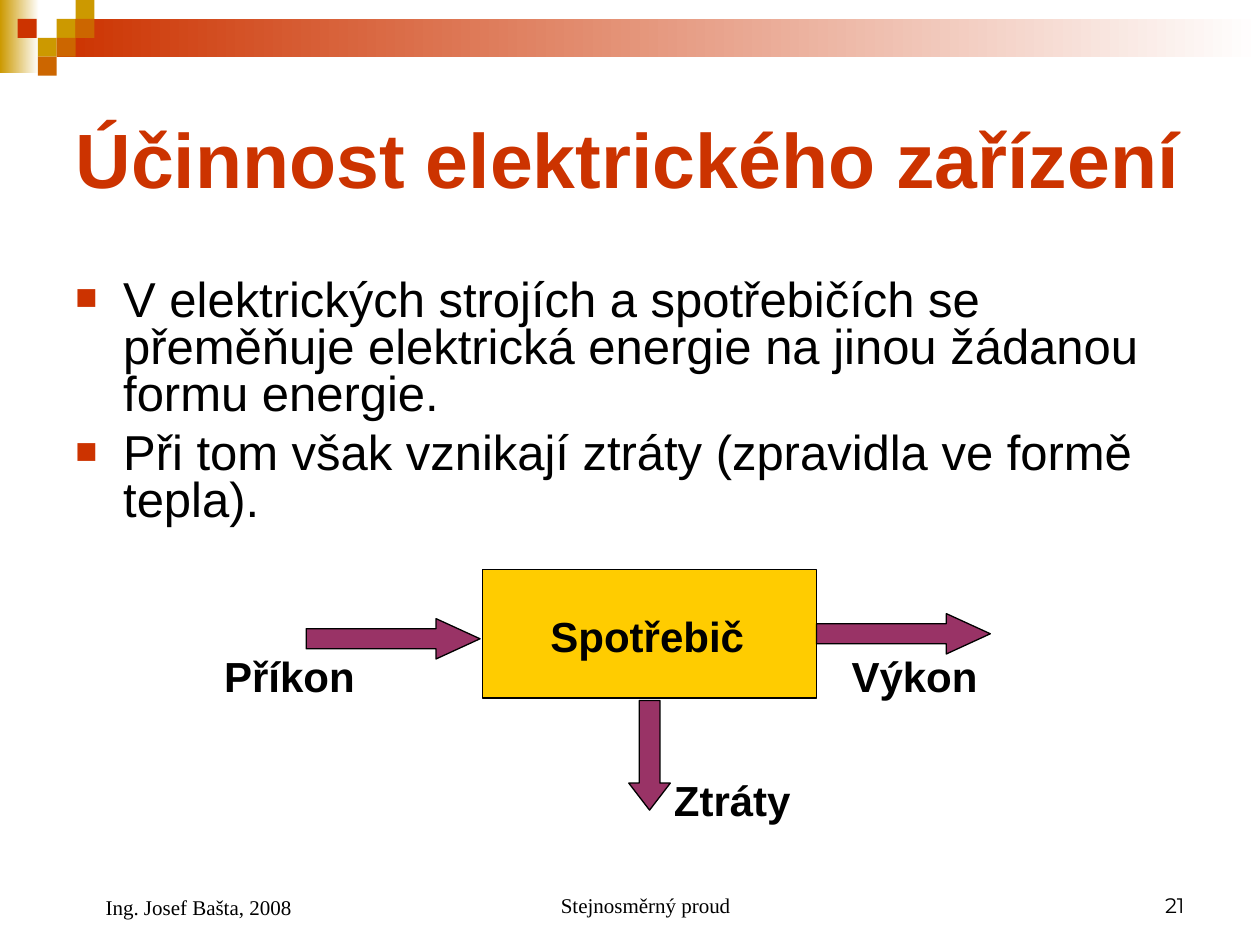
from dataclasses import dataclass

from lxml.etree import SubElement
from pptx import Presentation
from pptx.dml.color import RGBColor
from pptx.enum.shapes import MSO_SHAPE
from pptx.enum.text import MSO_ANCHOR, MSO_AUTO_SIZE, PP_ALIGN
from pptx.oxml.ns import qn
from pptx.util import Inches, Pt

RED, GOLD, RUST = "CC3300", "CC9900", "CC6600"
YELLOW, PLUM, BLACK, WHITE = "FFCC00", "993366", "000000", "FFFFFF"
TILE = 0.15


@dataclass
class Box:
    left: float
    top: float
    width: float
    height: float

    def lengths(self):
        return [Inches(v) for v in (self.left, self.top, self.width, self.height)]


@dataclass
class Arrow:
    box: Box
    head: float
    turn: int = 0


@dataclass
class Label:
    text: str
    left: float
    top: float


@dataclass
class Foot:
    text: str
    box: Box
    font: str = "Times New Roman"
    align: PP_ALIGN = PP_ALIGN.LEFT
    indent: float = 0.24


BANDS = [(Box(0, 0, 0.31, 0.58), GOLD), (Box(0.45, 0.15, 9.55, 0.3), RED)]

# Left, top and colour of each corner tile
TILES = [
    (0.45, 0.15, GOLD), (0.6, 0, GOLD), (0.6, 0.15, RUST), (0.3, 0.3, GOLD),
    (0.14, 0.15, RED), (0.45, 0.3, RUST), (0.3, 0.45, RUST),
]

POINTS = [
    "V elektrických strojích a spotřebičích se přeměňuje elektrická energie "
    "na jinou žádanou formu energie.",
    "Při tom však vznikají ztráty (zpravidla ve formě tepla).",
]

ARROWS = [
    Arrow(Box(2.43, 4.91, 1.38, 0.32), 1.09),
    Arrow(Box(6.48, 4.87, 1.38, 0.32), 1.09),
    Arrow(Box(4.72, 5.83, 0.87, 0.33), 0.65, 90),
]

LABELS = [
    Label("Spotřebič", 4.27, 4.8),
    Label("Příkon", 1.68, 5.11),
    Label("Výkon", 6.66, 5.11),
    Label("Ztráty", 5.25, 6.1),
]

FEET = [
    Foot("Stejnosměrný proud", Box(3.42, 6.83, 3.17, 0.5), align=PP_ALIGN.CENTER),
    Foot("21", Box(7.17, 6.83, 2.33, 0.5), "Montserrat", PP_ALIGN.RIGHT, 0),
    Foot("Ing. Josef Bašta, 2008", Box(0.5, 6.83, 2.33, 0.52)),
]


def color(code: str) -> RGBColor:
    return RGBColor.from_string(code)


def draw(slide, box: Box, fill: str, line: str = "", kind=MSO_SHAPE.RECTANGLE):
    shape = slide.shapes.add_shape(kind, *box.lengths())
    shape.shadow.inherit = False
    shape.fill.solid()
    shape.fill.fore_color.rgb = color(fill)
    if line:
        shape.line.color.rgb = color(line)
        shape.line.width = Pt(0.75)
    else:
        shape.line.fill.background()
    return shape


def fade(slide, box: Box, start: str) -> None:
    """Draw a band that fades from start to white, left to right."""
    fill = draw(slide, box, start).fill
    fill.gradient()
    fill.gradient_angle = 0
    for stop, code, place in zip(fill.gradient_stops, (start, WHITE), (0, 1)):
        stop.color.rgb = color(code)
        stop.position = place


def point(slide, arrow: Arrow) -> None:
    shape = draw(slide, arrow.box, PLUM, BLACK, MSO_SHAPE.RIGHT_ARROW)
    shape.adjustments[0] = 0.5
    shape.adjustments[1] = arrow.head
    shape.rotation = arrow.turn


def inset(para, left: float, first: float = 0) -> None:
    props = para._p.get_or_add_pPr()
    props.set("marL", str(Inches(left)))
    props.set("indent", str(Inches(first)))


def bullet(para) -> None:
    inset(para, 0.38, -0.38)
    props = para._p.get_or_add_pPr()
    tint = SubElement(props, qn("a:buClr"))
    SubElement(tint, qn("a:srgbClr"), val=RED)
    SubElement(props, qn("a:buSzPct"), val="75000")
    SubElement(props, qn("a:buFont"), typeface="Arial")
    SubElement(props, qn("a:buChar"), char="■")


def write(shape, *lines: str, size=24, font="Arial", code=BLACK, bold=False,
          align=PP_ALIGN.LEFT, anchor=MSO_ANCHOR.TOP, indent=0.0,
          bullets=False, spacing=None, gap=0) -> None:
    frame = shape.text_frame
    frame.word_wrap = True
    frame.auto_size = MSO_AUTO_SIZE.NONE
    frame.vertical_anchor = anchor
    for i, line in enumerate(lines):
        para = frame.add_paragraph() if i else frame.paragraphs[0]
        if bullets:
            bullet(para)
        elif indent:
            inset(para, indent)
        para.alignment = align
        if spacing:
            para.line_spacing = spacing
        if i:
            para.space_before = Pt(gap)
        run = para.add_run()
        run.text = line
        run.font.size = Pt(size)
        run.font.name = font
        run.font.bold = bold
        run.font.color.rgb = color(code)


def place(slide, box: Box):
    return slide.shapes.add_textbox(*box.lengths())


def main() -> None:
    deck = Presentation()
    deck.slide_width, deck.slide_height = Inches(10), Inches(7.5)
    slide = deck.slides.add_slide(deck.slide_layouts[5])

    for box, start in BANDS:
        fade(slide, box, start)
    for left, top, fill in TILES:
        draw(slide, Box(left, top, TILE, TILE), fill)

    title = slide.shapes.title
    title.left, title.top, title.width, title.height = Box(0.5, 0.5, 9, 1.5).lengths()
    write(title, "Účinnost elektrického zařízení", size=44, code=RED, bold=True,
          anchor=MSO_ANCHOR.MIDDLE)
    write(place(slide, Box(0.5, 2.17, 9, 2.17)), *POINTS, size=28,
          bullets=True, spacing=0.8, gap=7)

    draw(slide, Box(3.83, 4.52, 2.65, 1.02), YELLOW, BLACK)
    for arrow in ARROWS:
        point(slide, arrow)
    for label in LABELS:
        write(place(slide, Box(label.left, label.top, 1.89, 0.5)), label.text, bold=True)
    for foot in FEET:
        write(place(slide, foot.box), foot.text, size=12, font=foot.font,
              align=foot.align, anchor=MSO_ANCHOR.BOTTOM, indent=foot.indent)

    deck.save("out.pptx")


if __name__ == "__main__":
    main()
